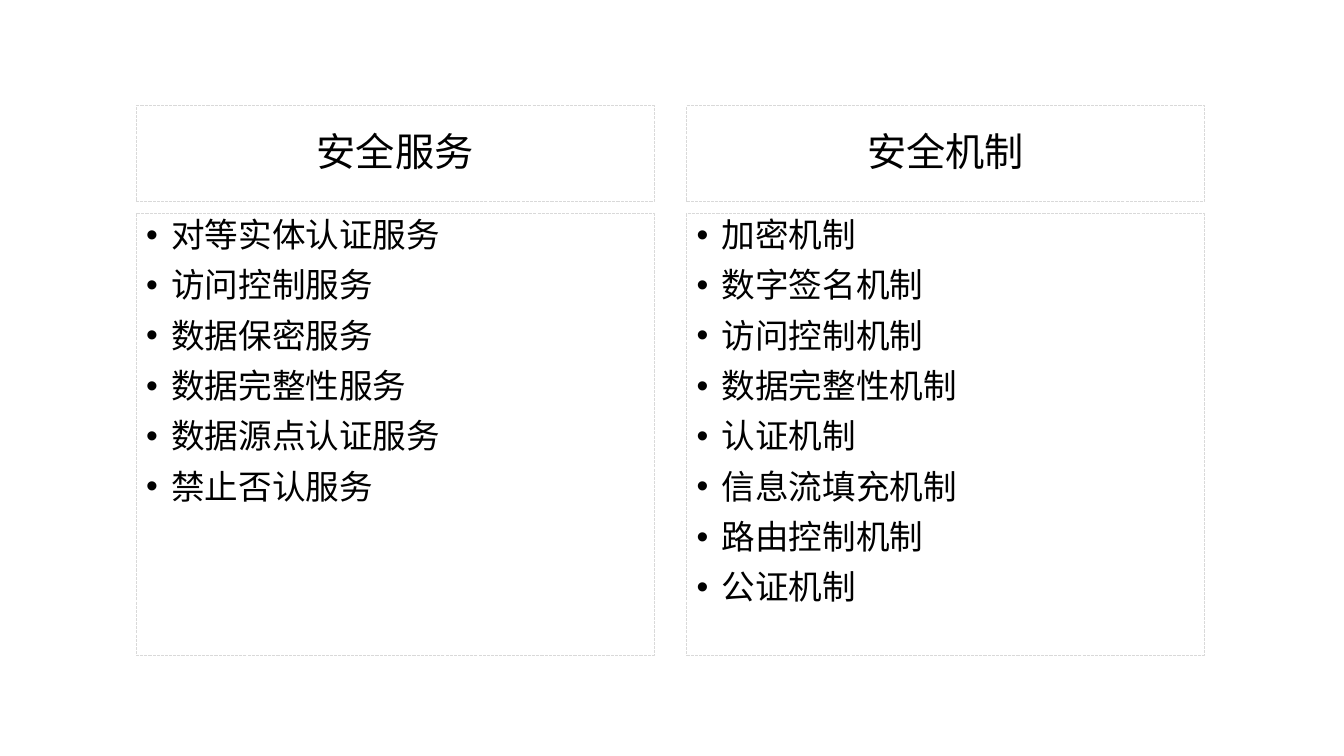
from pptx import Presentation
from pptx import util as u
from pptx.dml import color
from pptx.enum import dml, text

FONT = "Calibri"
COLORS = {"text": "000000", "border": "D9D9D9"}
COMPARISON_LAYOUT = 4
COLUMN_LEFT, COLUMN_WIDTH, COLUMN_STEP = 97.2, 370, 393.1
HEADING_TOP, HEADING_HEIGHT = 75.6, 68.4
LIST_TOP, LIST_HEIGHT = 152.6, 315.4
BULLET_INDENT = 18

COLUMNS = [
    ("安全服务", [
        "对等实体认证服务",
        "访问控制服务",
        "数据保密服务",
        "数据完整性服务",
        "数据源点认证服务",
        "禁止否认服务",
    ]),
    ("安全机制", [
        "加密机制",
        "数字签名机制",
        "访问控制机制",
        "数据完整性机制",
        "认证机制",
        "信息流填充机制",
        "路由控制机制",
        "公证机制",
    ]),
]


def rgb(name):
    return color.RGBColor.from_string(COLORS[name])


def fill_box(shape, left, top, height, lines, size, anchor, alignment):
    shape.left, shape.top = u.Pt(left), u.Pt(top)
    shape.width, shape.height = u.Pt(COLUMN_WIDTH), u.Pt(height)
    shape.line.color.rgb = rgb("border")
    shape.line.width = u.Pt(0.75)
    shape.line.dash_style = dml.MSO_LINE.SQUARE_DOT
    frame = shape.text_frame
    frame.text = "\n".join(lines)
    frame.auto_size = text.MSO_AUTO_SIZE.NONE
    frame.vertical_anchor = anchor
    for paragraph in frame.paragraphs:
        paragraph.alignment = alignment
        paragraph.line_spacing = 0.9
        paragraph.space_before = u.Pt(10)
        for run in paragraph.runs:
            run.font.name = FONT
            run.font.size = u.Pt(size)
            run.font.bold = False
            run.font.color.rgb = rgb("text")


def add_heading(shape, left, heading):
    fill_box(shape, left, HEADING_TOP, HEADING_HEIGHT, [heading], 28,
             text.MSO_ANCHOR.MIDDLE, text.PP_ALIGN.CENTER)


def add_list(shape, left, items):
    fill_box(shape, left, LIST_TOP, LIST_HEIGHT, items, 24,
             text.MSO_ANCHOR.TOP, text.PP_ALIGN.LEFT)
    for paragraph in shape.text_frame.paragraphs:
        properties = paragraph._p.get_or_add_pPr()
        properties.set("marL", str(u.Pt(BULLET_INDENT)))
        properties.set("indent", str(-u.Pt(BULLET_INDENT)))


def main():
    presentation = Presentation()
    presentation.slide_width, presentation.slide_height = u.Pt(960), u.Pt(540)
    layout = presentation.slide_layouts[COMPARISON_LAYOUT]
    slide = presentation.slides.add_slide(layout)
    title, *boxes = slide.placeholders
    title.element.getparent().remove(title.element)
    for index, (heading, items) in enumerate(COLUMNS):
        left = COLUMN_LEFT + index * COLUMN_STEP
        heading_box, list_box = boxes[2 * index:2 * index + 2]
        add_heading(heading_box, left, heading)
        add_list(list_box, left, items)
    presentation.save("out.pptx")


if __name__ == "__main__":
    main()
